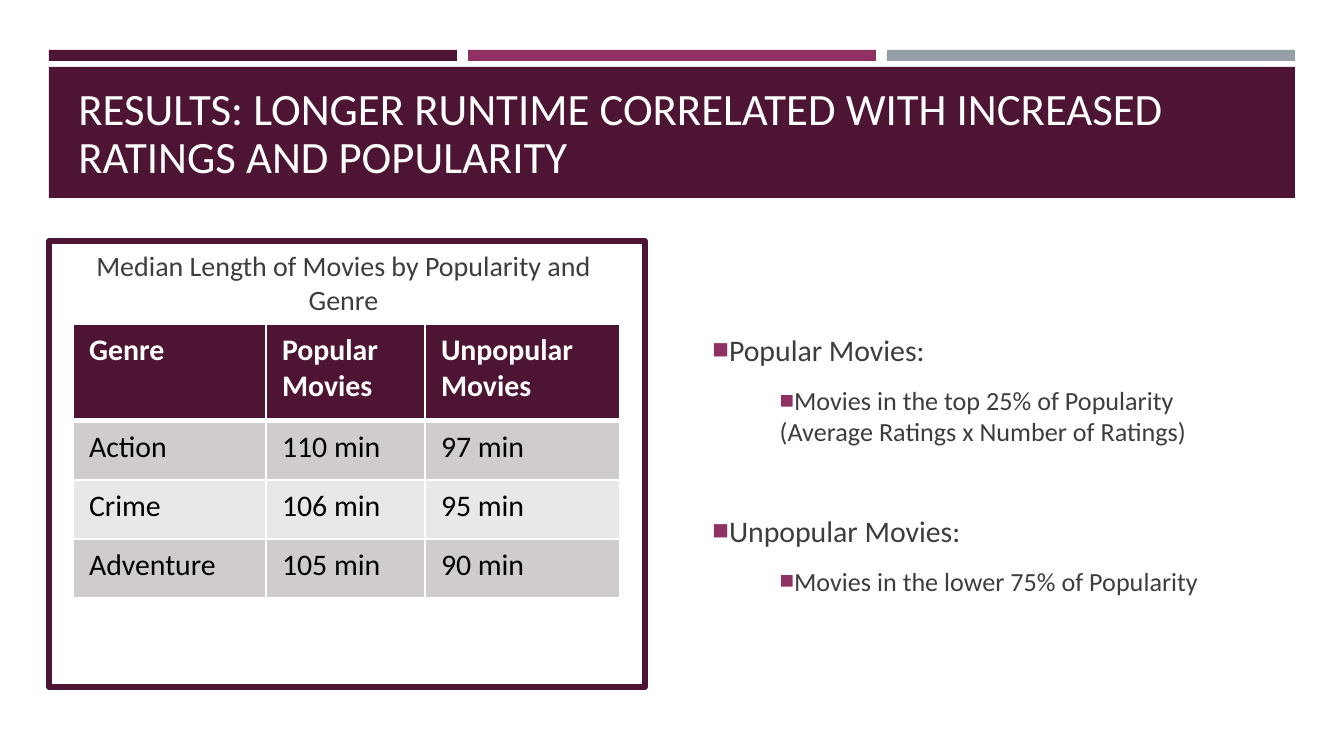
from lxml import etree
from pptx import Presentation
from pptx import util as u
from pptx.dml.color import RGBColor
from pptx.enum import shapes, text
from pptx.oxml.ns import qn

PX = 914400 / 134.4
FONT = "Calibri"
PLUM, MAGENTA, GREY = "4D1434", "903163", "969FA7"
WHITE, BLACK, INK = "FFFFFF", "000000", "3D3D3D"
BANDS = ["D0CCCE", "E9E7E8"]

TITLE = "RESULTS: LONGER RUNTIME CORRELATED WITH INCREASED RATINGS AND POPULARITY"
CAPTION = "Median Length of Movies by Popularity and Genre"
ROWS = [
    ["Genre", "Popular Movies", "Unpopular Movies"],
    ["Action", "110 min", "97 min"],
    ["Crime", "106 min", "95 min"],
    ["Adventure", "105 min", "90 min"],
]
# text, level, space before in points
BULLETS = [
    ("Popular Movies:", 0, 0),
    ("Movies in the top 25% of Popularity (Average Ratings x Number of Ratings)", 1, 3),
    ("Unpopular Movies:", 0, 29),
    ("Movies in the lower 75% of Popularity", 1, 3),
]


def px(length):
    return u.Emu(round(length * PX))


def color(hex_code):
    return RGBColor.from_string(hex_code)


def place(shape, left, top, width, height):
    shape.left, shape.top = px(left), px(top)
    shape.width, shape.height = px(width), px(height)


def style(para, size, hex_code, bold=False):
    para.font.name, para.font.size, para.font.bold = FONT, u.Pt(size), bold
    para.font.color.rgb = color(hex_code)


def add_rect(page, left, top, width, height, fill, line=None):
    rect = page.shapes.add_shape(
        shapes.MSO_SHAPE.RECTANGLE, px(left), px(top), px(width), px(height))
    rect.shadow.inherit = False
    rect.fill.solid()
    rect.fill.fore_color.rgb = color(fill)
    if line:
        rect.line.color.rgb = color(line)
        rect.line.width = u.Pt(3)
    else:
        rect.line.fill.background()


def set_title(title):
    title.element.getparent().append(title.element)  # bring above the banner
    place(title, 65, 78, 1216, 112)
    frame = title.text_frame
    frame.text = TITLE
    frame.auto_size = text.MSO_AUTO_SIZE.NONE
    frame.vertical_anchor = text.MSO_ANCHOR.BOTTOM
    para = frame.paragraphs[0]
    para.alignment = text.PP_ALIGN.LEFT
    para.line_spacing = 0.9
    style(para, 24, WHITE)


def add_bullet(para, indent):
    props = para._p.get_or_add_pPr()
    props.set("marL", str(u.Inches(indent)))
    props.set("indent", "0")
    tint = etree.SubElement(props, qn("a:buClr"))
    etree.SubElement(tint, qn("a:srgbClr"), val=MAGENTA)
    etree.SubElement(props, qn("a:buSzPct"), val="92000")
    etree.SubElement(props, qn("a:buChar"), char="■")


def set_body(body):
    place(body, 699, 241, 582, 446)
    frame = body.text_frame
    frame.auto_size = text.MSO_AUTO_SIZE.NONE
    frame.vertical_anchor = text.MSO_ANCHOR.MIDDLE
    for index, (words, level, before) in enumerate(BULLETS):
        para = frame.add_paragraph() if index else frame.paragraphs[0]
        para.text = words
        para.level = level
        add_bullet(para, level * 0.5)
        para.space_before, para.space_after = u.Pt(before), u.Pt(6)
        style(para, 14 if level else 16, INK)


def add_caption(page):
    box = page.shapes.add_textbox(px(46), px(241), px(595), px(83))
    frame = box.text_frame
    frame.word_wrap = True
    frame.vertical_anchor = text.MSO_ANCHOR.MIDDLE
    para = frame.paragraphs[0]
    para.text = CAPTION
    para.alignment = text.PP_ALIGN.CENTER
    para.space_after = u.Pt(6)
    style(para, 15, INK)


def add_border(cell, side, points):
    props = cell._tc.get_or_add_tcPr()
    line = etree.SubElement(props, qn(f"a:ln{side}"), w=str(u.Pt(points)))
    fill = etree.SubElement(line, qn("a:solidFill"))
    etree.SubElement(fill, qn("a:srgbClr"), val=WHITE)


def format_cell(cell, words, row):
    header = row == 0
    thick_side = {0: "B", 1: "T"}.get(row)
    for side in "LRTB":
        add_border(cell, side, 3 if side == thick_side else 1)
    cell.fill.solid()
    cell.fill.fore_color.rgb = color(PLUM if header else BANDS[(row - 1) % 2])
    cell.margin_left = cell.margin_right = u.Inches(0.12)
    cell.margin_top = cell.margin_bottom = u.Inches(0.06)
    cell.text = words
    style(cell.text_frame.paragraphs[0], 16, WHITE if header else BLACK, header)


def add_runtime_table(page):
    widths, heights = [193, 159, 195], [97, 59, 59, 59]
    table = page.shapes.add_table(
        len(heights), len(widths), px(73), px(324),
        px(sum(widths)), px(sum(heights))).table
    for column, width in zip(table.columns, widths):
        column.width = px(width)
    for row, height in enumerate(heights):
        table.rows[row].height = px(height)
        for col, words in enumerate(ROWS[row]):
            format_cell(table.cell(row, col), words, row)


def main():
    deck = Presentation()
    deck.slide_width, deck.slide_height = px(1344), px(756)
    page = deck.slides.add_slide(deck.slide_layouts[1])
    for index, fill in enumerate([PLUM, MAGENTA, GREY]):
        add_rect(page, 49 + 419 * index, 50, 408, 11, fill)
    add_rect(page, 49, 67, 1246, 131, PLUM)
    set_title(page.shapes.title)
    add_rect(page, 49, 241, 596, 446, WHITE, PLUM)
    set_body(page.placeholders[1])
    add_runtime_table(page)
    add_caption(page)
    deck.save("out.pptx")


if __name__ == "__main__":
    main()
